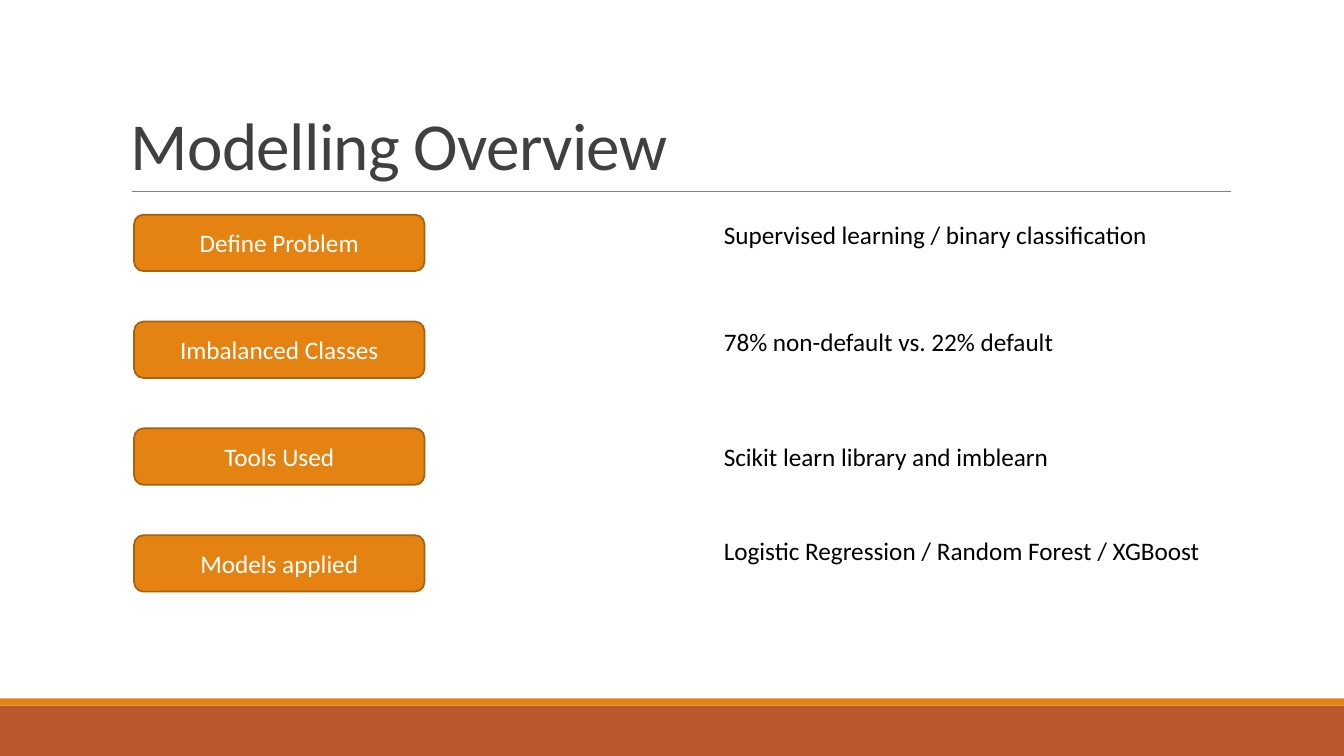
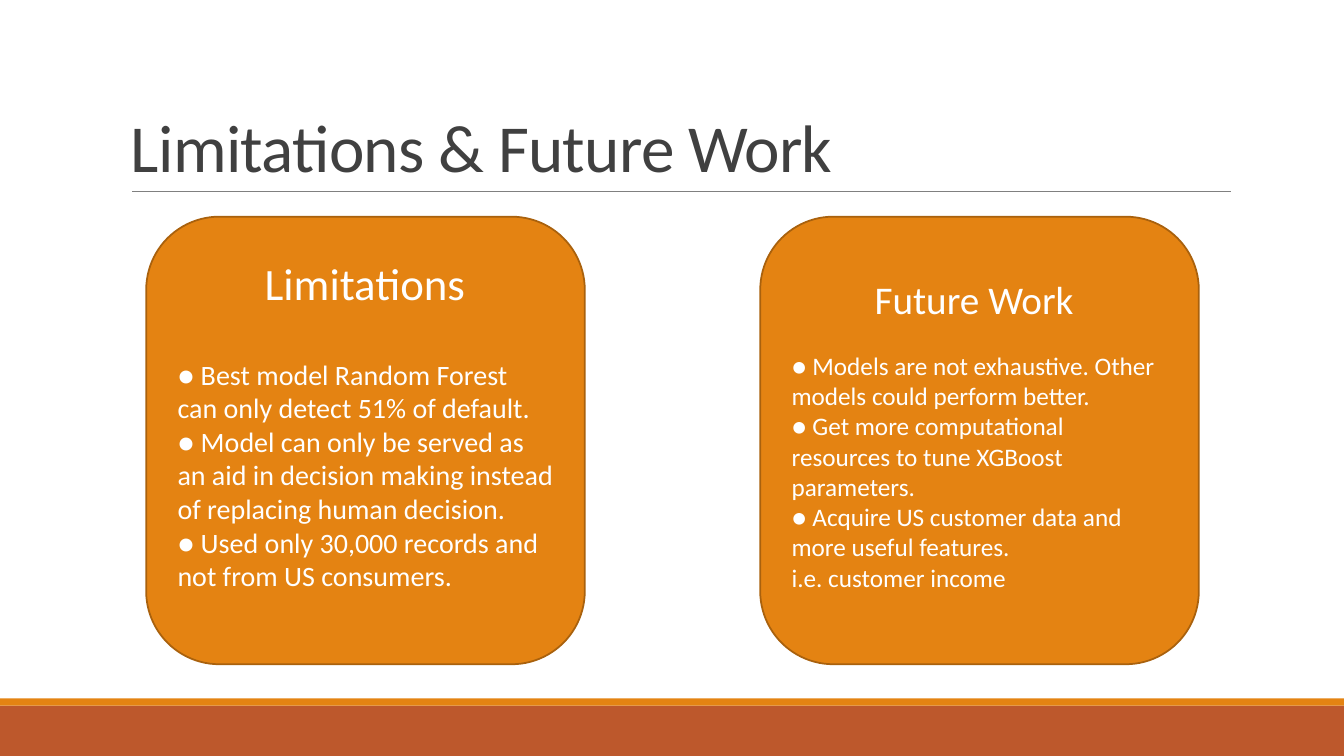
from dataclasses import dataclass

from lxml import etree
from pptx import Presentation
from pptx.dml.color import RGBColor
from pptx.enum.shapes import MSO_CONNECTOR, MSO_SHAPE
from pptx.enum.text import MSO_ANCHOR, PP_ALIGN
from pptx.oxml.ns import qn
from pptx.util import Inches, Pt

# Content
OVERVIEW_TITLE = "Modelling Overview"
STEPS = [  # label, detail, top and width of the detail
    ("Define Problem", "Supervised learning / binary classification", 2.13, 4.72),
    ("Imbalanced Classes", "78% non-default vs. 22% default", 3.19, 4.72),
    ("Tools Used", "Scikit learn library and imblearn", 4.33, 4.72),
    ("Models applied", "Logistic Regression / Random Forest / XGBoost", 5.26, 5.12),
]
OUTLOOK_TITLE = "Limitations & Future Work"
CARDS = [
    dict(left=1.45, size=20, heading="Limitations ", heading_size=32,
         heading_box=(2.12, 2.49, 3.1, 0.64),
         lines=["● Best model Random Forest can only detect 51% of default.",
                "● Model can only be served as an aid in decision making "
                "instead of replacing human decision.",
                "● Used only 30,000 records and not from US consumers."]),
    dict(left=7.54, size=18, heading="Future Work ", heading_size=28,
         heading_box=(8.09, 2.68, 3.23, 1.04),
         lines=["● Models are not exhaustive. Other models could perform better.",
                "● Get more computational resources to tune XGBoost parameters.",
                "● Acquire US customer data and more useful features.",
                "i.e. customer income"]),
]


# Theme
@dataclass(frozen=True)
class Theme:
    font: str = "Calibri"
    band: str = "BD582C"
    accent: str = "E48312"
    outline: str = "A9610D"
    rule: str = "808080"
    title: str = "404040"
    text: str = "000000"
    on_accent: str = "FFFFFF"
    title_size: int = 48
    body_size: int = 18


THEME = Theme()
WIDTH, HEIGHT = 13.33, 7.5
LINE_HEIGHT = 1.22  # Calibri line height relative to type size

prs = Presentation()
prs.slide_width, prs.slide_height = Inches(WIDTH), Inches(HEIGHT)


# Helpers
def write(shape, lines, size, color, align=PP_ALIGN.LEFT, anchor=MSO_ANCHOR.TOP):
    frame = shape.text_frame
    frame.word_wrap = True
    frame.vertical_anchor = anchor
    for i, line in enumerate(lines):
        para = frame.paragraphs[0] if i == 0 else frame.add_paragraph()
        para.alignment = align
        run = para.add_run()
        run.text = line
        run.font.name, run.font.size = THEME.font, Pt(size)
        run.font.color.rgb = RGBColor.from_string(color)
    return frame


def add_text(slide, box, text, size, color, **style):
    shape = slide.shapes.add_textbox(*map(Inches, box))
    return write(shape, [text], size, color, **style)


def add_block(slide, kind, box, fill, outline=None):
    shape = slide.shapes.add_shape(kind, *map(Inches, box))
    shape.shadow.inherit = False
    shape.fill.solid()
    shape.fill.fore_color.rgb = RGBColor.from_string(fill)
    if outline:
        shape.line.color.rgb = RGBColor.from_string(outline)
        shape.line.width = Pt(1.25)
    else:
        shape.line.fill.background()
    return shape


def new_slide(title, title_top):
    slide = prs.slides.add_slide(prs.slide_layouts[6])
    # Footer bands
    add_block(slide, MSO_SHAPE.RECTANGLE, (0, 7, WIDTH, 0.5), THEME.band)
    add_block(slide, MSO_SHAPE.RECTANGLE, (0, 6.93, WIDTH, 0.07), THEME.accent)
    # Rule under the title
    rule = slide.shapes.add_connector(
        MSO_CONNECTOR.STRAIGHT, *map(Inches, (1.31, 1.9, 12.21, 1.9)))
    rule.line.color.rgb = RGBColor.from_string(THEME.rule)
    rule.line.width = Pt(0.5)
    etree.SubElement(rule._element.spPr, qn("a:effectLst"))
    # Title
    frame = add_text(slide, (1.2, title_top, 11, 1.59), title, THEME.title_size,
                     THEME.title, anchor=MSO_ANCHOR.BOTTOM)
    para = frame.paragraphs[0]
    para.line_spacing = 0.85
    para.runs[0].font._element.set("spc", "-50")
    return slide


# Slide 1: step labels with their details
overview = new_slide(OVERVIEW_TITLE, 0.29)
for row, (label, detail, detail_top, detail_width) in enumerate(STEPS):
    button = add_block(overview, MSO_SHAPE.ROUNDED_RECTANGLE,
                       (1.33, 2.13 + 1.06 * row, 2.88, 0.56),
                       THEME.accent, THEME.outline)
    write(button, [label], THEME.body_size, THEME.on_accent,
          PP_ALIGN.CENTER, MSO_ANCHOR.MIDDLE)
    add_text(overview, (7.08, detail_top, detail_width, 0.4), detail,
             THEME.body_size, THEME.text)

# Slide 2: two cards, each with a heading over its points
outlook = new_slide(OUTLOOK_TITLE, 0.31)
for card in CARDS:
    panel = add_block(outlook, MSO_SHAPE.ROUNDED_RECTANGLE,
                      (card["left"], 2.15, 4.35, 4.44), THEME.accent, THEME.outline)
    frame = write(panel, card["lines"], card["size"], THEME.on_accent,
                  anchor=MSO_ANCHOR.MIDDLE)
    # Keep two lines free for the heading
    frame.margin_top = Inches(0.05) + Pt(2 * LINE_HEIGHT * card["size"])
    add_text(outlook, card["heading_box"], card["heading"], card["heading_size"],
             THEME.on_accent, align=PP_ALIGN.CENTER)

prs.save("out.pptx")
